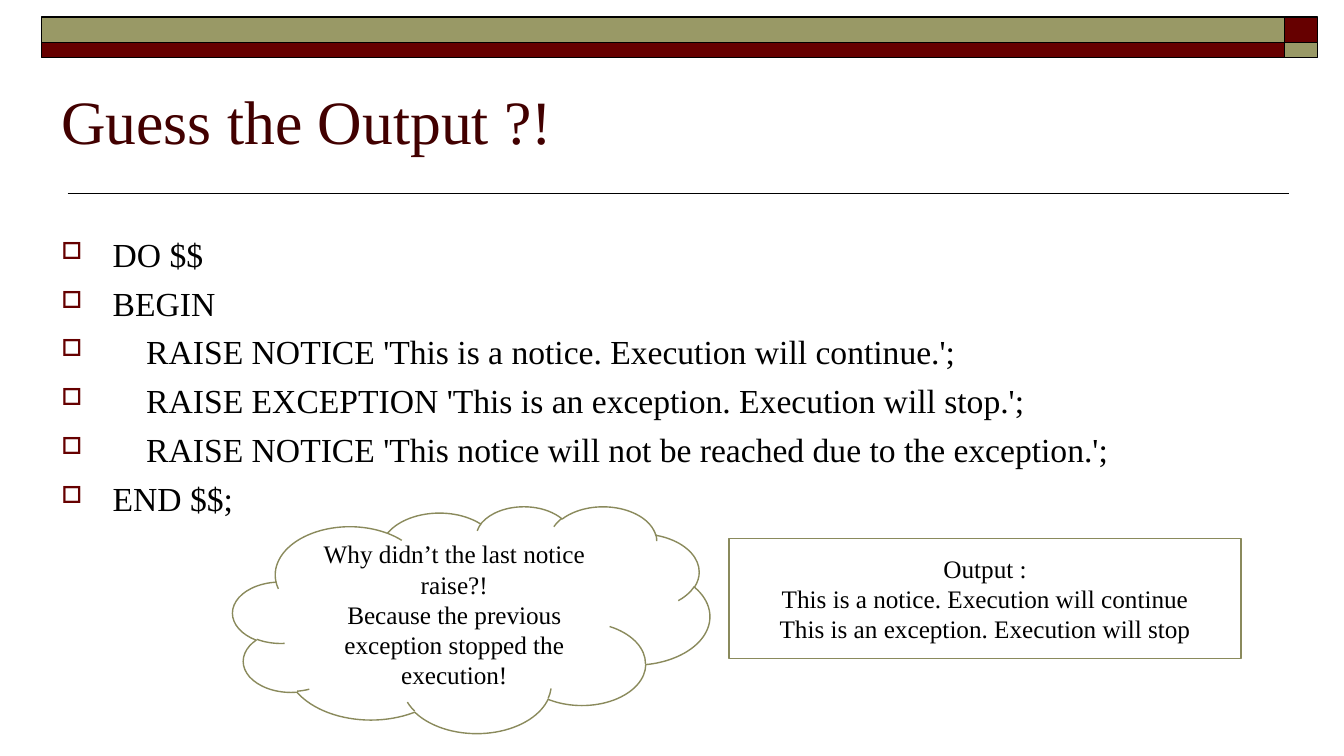
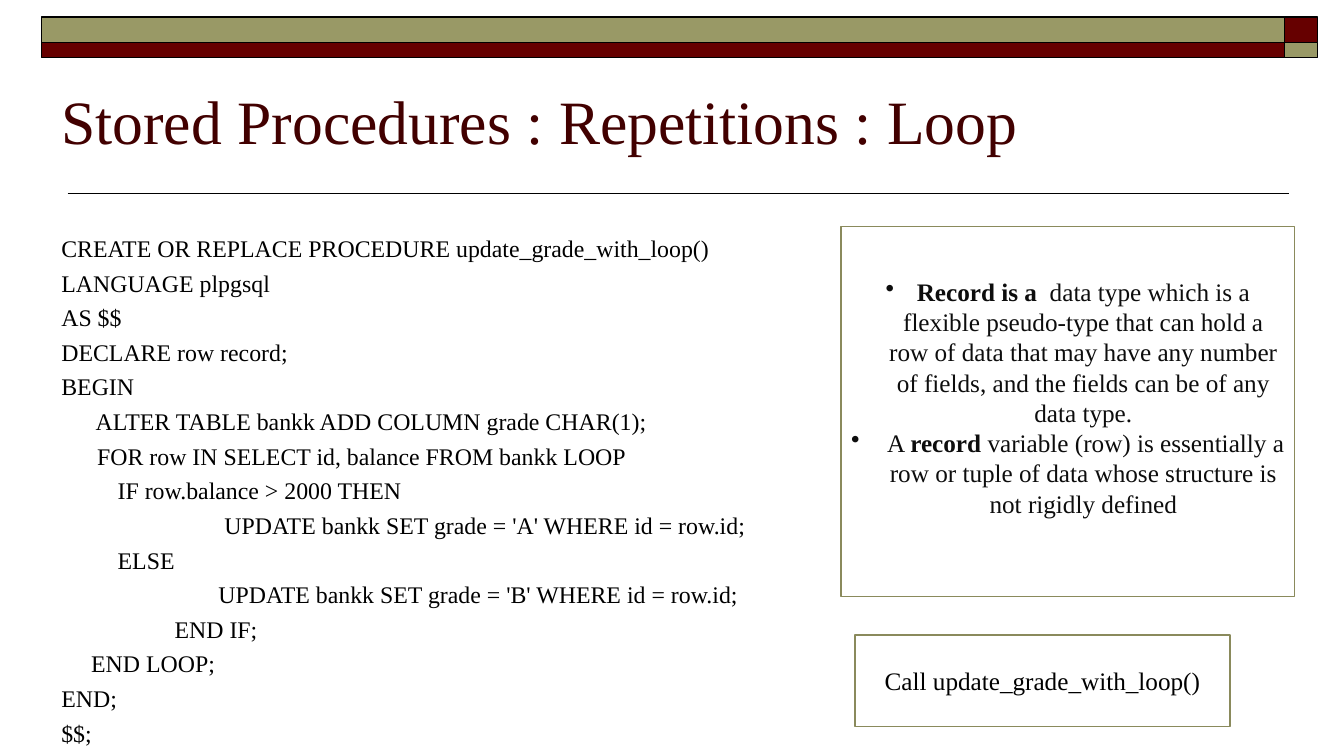
from lxml.etree import SubElement
from pptx import Presentation
from pptx.dml.color import RGBColor
from pptx.enum.shapes import MSO_CONNECTOR as Connector, MSO_SHAPE as Shape
from pptx.enum.text import MSO_ANCHOR as Anchor, PP_ALIGN as Align
from pptx.oxml.ns import qn
from pptx.util import Pt

EMU_PER_PX = 9144
COLORS = {
    "title": "420000",
    "maroon": "660000",
    "olive": "999966",
    "outline": "8A8A5C",
    "paper": "FFFFFF",
    "ink": "000000",
    "soft_ink": "0D0D0D",
}
SQUARE = {"char": "□", "indent": 51, "tint": "maroon", "size": 70}
DOT = {"char": "•", "indent": 31}


def px(value):
    return value * EMU_PER_PX


def color(name):
    return RGBColor.from_string(COLORS[name])


def assign(target, values):
    for name, value in values.items():
        setattr(target, name, value)


class Deck:
    font = "Times New Roman"

    def __init__(self):
        self.deck = Presentation()
        assign(self.deck, {"slide_width": px(1333), "slide_height": px(750)})
        self.page = None

    def slide(self, title):
        self.page = self.deck.slides.add_slide(self.deck.slide_layouts[6])
        self.rule(67, 1278, 192)
        for left, width, fills in ((41, 1233, ("olive", "maroon")), (1274, 33, ("maroon", "olive"))):
            for top, height, fill in zip((17, 42), (25, 15), fills):
                self.shape(Shape.RECTANGLE, (left, top, width, height), fill, "ink")
        self.text((51, 35, 1200, 125), [title], 44, ink="title", anchor=Anchor.BOTTOM)

    def rule(self, left, right, top):
        line = self.page.shapes.add_connector(
            Connector.STRAIGHT, px(left), px(top), px(right), px(top))
        line.line.color.rgb = color("ink")
        line.line.width = Pt(1)
        SubElement(line._element.spPr, qn("a:effectLst"))

    def shape(self, kind, bounds, fill, outline):
        box = self.page.shapes.add_shape(kind, *map(px, bounds))
        box.shadow.inherit = False
        box.fill.solid()
        box.fill.fore_color.rgb = color(fill)
        box.line.color.rgb = color(outline)
        box.line.width = Pt(1)
        return box

    def text(self, bounds, lines, size, **style):
        box = self.page.shapes.add_textbox(*map(px, bounds))
        self.paragraphs(box, lines, size, **style)

    def panel(self, bounds, lines, kind=Shape.RECTANGLE, **style):
        box = self.shape(kind, bounds, "paper", "outline")
        self.paragraphs(box, lines, 18, anchor=Anchor.MIDDLE, align=Align.CENTER, **style)

    def paragraphs(self, box, lines, size, ink="ink", anchor=Anchor.TOP,
                   align=Align.LEFT, gap=0, bullet=None, bottom=5):
        frame = box.text_frame
        assign(frame, {"word_wrap": True, "vertical_anchor": anchor, "margin_bottom": px(bottom)})
        for index, line in enumerate(lines):
            para = frame.add_paragraph() if index else frame.paragraphs[0]
            if bullet:
                self.bullet(para, **bullet)
            para.alignment = align
            if index and gap:
                para.space_before = Pt(gap)
            for part, words in enumerate(line.split("*")):
                if words:
                    span = para.add_run()
                    span.text = words
                    assign(span.font, {"name": self.font, "size": Pt(size), "bold": part % 2 == 1})
                    span.font.color.rgb = color(ink)

    def bullet(self, para, char, indent, tint=None, size=None):
        props = para._p.get_or_add_pPr()
        props.set("marL", str(px(indent)))
        props.set("indent", str(px(-indent)))
        if tint:
            SubElement(SubElement(props, qn("a:buClr")), qn("a:srgbClr"), val=COLORS[tint])
        if size:
            SubElement(props, qn("a:buSzPct"), val=str(size * 1000))
        SubElement(props, qn("a:buChar"), char=char)

    def save(self):
        self.deck.save("out.pptx")


NOTICE_CODE = """DO $$
BEGIN
    RAISE NOTICE 'This is a notice. Execution will continue.';
    RAISE EXCEPTION 'This is an exception. Execution will stop.';
    RAISE NOTICE 'This notice will not be reached due to the exception.';
END $$;"""

LOOP_CODE = """CREATE OR REPLACE PROCEDURE update_grade_with_loop()
LANGUAGE plpgsql
AS $$
DECLARE row record;
BEGIN
      ALTER TABLE bankk ADD COLUMN grade CHAR(1);
      FOR row IN SELECT id, balance FROM bankk LOOP
       \t IF row.balance > 2000 THEN
          \t\t  UPDATE bankk SET grade = 'A' WHERE id = row.id;
       \t ELSE
            \t\t UPDATE bankk SET grade = 'B' WHERE id = row.id;
                   END IF;
     END LOOP;
END;
$$;"""

BODY = (51, 227, 1200, 457)


def main():
    deck = Deck()

    deck.slide("Guess the Output ?!")
    deck.text(BODY, NOTICE_CODE.split("\n"), 24, gap=6, bullet=SQUARE)
    deck.panel((723, 534, 508, 119), [
        "Output :",
        "This is a notice. Execution will continue",
        "This is an exception. Execution will stop",
    ])
    deck.panel((231, 502, 473, 225), [
        "Why didn’t the last notice raise?!",
        "Because the previous exception stopped the execution!",
    ], Shape.CLOUD)

    deck.slide("Stored Procedures : Repetitions : Loop")
    deck.text(BODY, LOOP_CODE.split("\n"), 17, gap=4.3)
    deck.panel((834, 225, 450, 367), [
        "*Record is a * data type which is a flexible pseudo-type that can hold a row of data "
        "that may have any number of fields, and the fields can be of any data type.",
        " A *record* variable (row) is essentially a row or tuple of data "
        "whose structure is not rigidly defined",
    ], ink="soft_ink", bullet=DOT, bottom=34)
    deck.panel((848, 630, 372, 91), ["Call update_grade_with_loop()"])

    deck.save()


if __name__ == "__main__":
    main()
